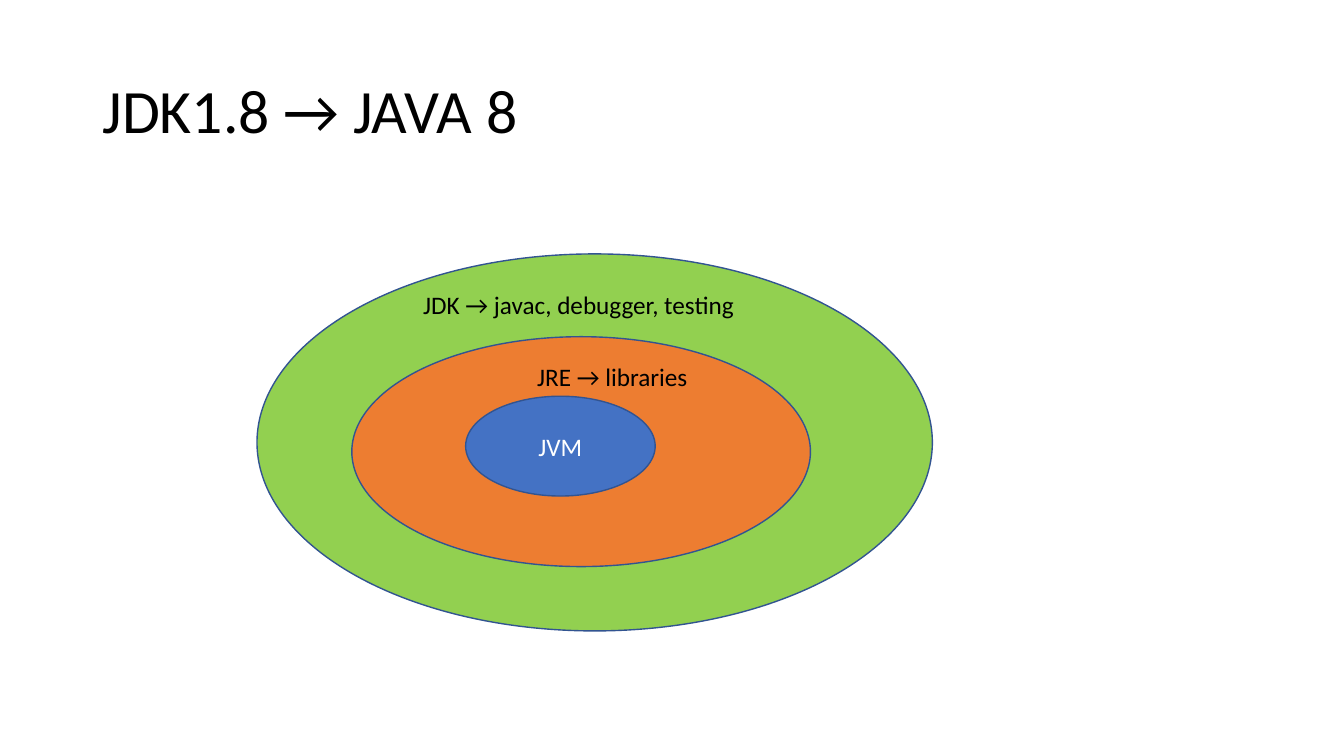
"""Build a slide that nests JVM in JRE in JDK as three ovals."""
from dataclasses import dataclass

from pptx import Presentation
from pptx.dml.color import RGBColor
from pptx.enum.shapes import MSO_SHAPE
from pptx.enum.text import MSO_ANCHOR, MSO_AUTO_SIZE, PP_ALIGN
from pptx.slide import Slide
from pptx.text.text import TextFrame
from pptx.util import Pt


@dataclass(frozen=True)
class Theme:
    font: str = "Calibri"
    head: int = 44
    body: int = 18
    ink: str = "000000"
    pale: str = "FFFFFF"
    edge: str = "325491"
    green: str = "92D050"
    orange: str = "ED7D31"
    blue: str = "4472C4"


@dataclass(frozen=True)
class Box:
    left: float
    top: float
    width: float
    height: float

    def spans(self) -> list[Pt]:
        return [Pt(self.left), Pt(self.top), Pt(self.width), Pt(self.height)]


@dataclass(frozen=True)
class Oval:
    box: Box
    fill: str
    text: str = ""


@dataclass(frozen=True)
class Label:
    box: Box
    text: str


THEME = Theme()
TITLE = Label(Box(66, 28.8, 482.4, 104.4), "JDK1.8 → JAVA 8")
OVALS = [
    Oval(Box(183.6, 181.4, 482.4, 269.3), THEME.green),
    Oval(Box(251.3, 240.5, 327.6, 164.2), THEME.orange),
    Oval(Box(332.6, 283, 135.4, 71.3), THEME.blue, "JVM"),
]
LABELS = [
    Label(Box(376.6, 254.2, 124.6, 28.8), "JRE → libraries"),
    Label(Box(295.2, 203, 240.5, 28.8), "JDK → javac, debugger, testing"),
]


def write(frame: TextFrame, text: str, size: int, tint: str,
          align: PP_ALIGN = PP_ALIGN.LEFT) -> None:
    line = frame.paragraphs[0]
    line.alignment = align
    run = line.add_run()
    run.text = text
    run.font.name = THEME.font
    run.font.size = Pt(size)
    run.font.color.rgb = RGBColor.from_string(tint)


def draw_title(slide: Slide, title: Label) -> None:
    shape = slide.shapes.title
    shape.left, shape.top, shape.width, shape.height = title.box.spans()
    frame = shape.text_frame
    frame.auto_size = MSO_AUTO_SIZE.NONE
    frame.vertical_anchor = MSO_ANCHOR.MIDDLE
    write(frame, title.text, THEME.head, THEME.ink)
    frame.paragraphs[0].line_spacing = 0.9


def draw_oval(slide: Slide, oval: Oval) -> None:
    shape = slide.shapes.add_shape(MSO_SHAPE.OVAL, *oval.box.spans())
    shape.shadow.inherit = False
    shape.fill.solid()
    shape.fill.fore_color.rgb = RGBColor.from_string(oval.fill)
    shape.line.color.rgb = RGBColor.from_string(THEME.edge)
    shape.line.width = Pt(1)
    if oval.text:
        shape.text_frame.vertical_anchor = MSO_ANCHOR.MIDDLE
        write(shape.text_frame, oval.text, THEME.body, THEME.pale, PP_ALIGN.CENTER)


def draw_label(slide: Slide, label: Label) -> None:
    frame = slide.shapes.add_textbox(*label.box.spans()).text_frame
    frame.word_wrap = False
    frame.auto_size = MSO_AUTO_SIZE.SHAPE_TO_FIT_TEXT
    write(frame, label.text, THEME.body, THEME.ink)


def main() -> None:
    deck = Presentation()
    deck.slide_width, deck.slide_height = Pt(960), Pt(540)
    slide = deck.slides.add_slide(deck.slide_layouts.get_by_name("Title Only"))
    draw_title(slide, TITLE)
    for oval in OVALS:
        draw_oval(slide, oval)
    for label in LABELS:
        draw_label(slide, label)
    deck.save("out.pptx")


main()
